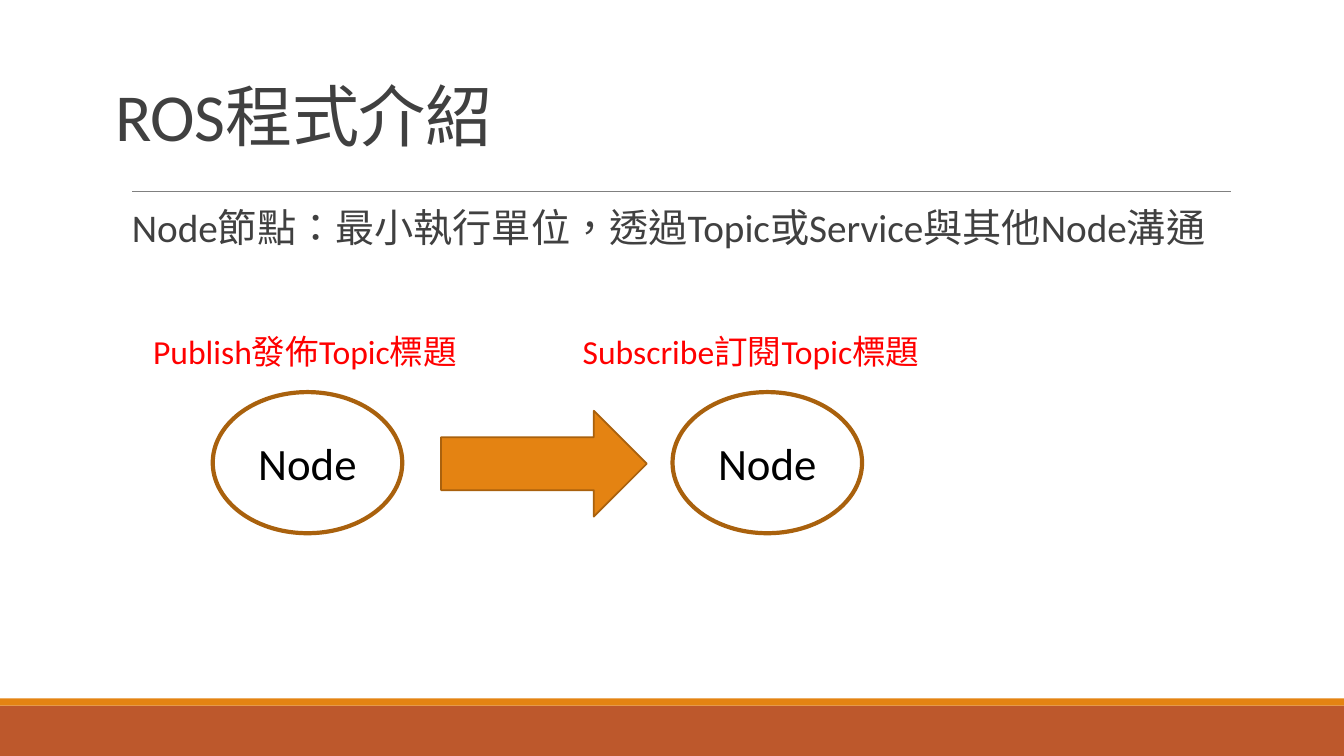
from pptx import Presentation
from pptx.dml.color import RGBColor
from pptx.enum.shapes import MSO_CONNECTOR as LINK, MSO_SHAPE as SHAPE
from pptx.enum.text import MSO_ANCHOR as ANCHOR, PP_ALIGN as ALIGN
from pptx.util import Inches, Pt
from lxml.etree import SubElement
from pptx.oxml.ns import qn

COLORS = {
    "orange": "E48312",
    "rust": "BD582C",
    "brown": "A9610D",
    "gray": "808080",
    "dark": "404040",
    "black": "000000",
    "red": "FF0000",
}


def color(name):
    return RGBColor.from_string(COLORS[name])


def style(para, size, tint, track=0):
    for run in para.runs:
        run.font.name = "Calibri"
        run.font.size = Pt(size)
        run.font.color.rgb = color(tint)
        props = run._r.get_or_add_rPr()
        props.set("lang", "zh-TW")
        if track:
            props.set("spc", str(track))


def add_text(slide, box, text, size, tint, anchor=ANCHOR.TOP, track=0):
    frame = slide.shapes.add_textbox(*map(Inches, box)).text_frame
    frame.word_wrap = True
    frame.vertical_anchor = anchor
    frame.text = text
    para = frame.paragraphs[0]
    style(para, size, tint, track)
    return para


def add_block(slide, kind, box, fill=None, line=None, width=1.0):
    shape = slide.shapes.add_shape(kind, *map(Inches, box))
    shape.shadow.inherit = False
    if fill:
        shape.fill.solid()
        shape.fill.fore_color.rgb = color(fill)
    else:
        shape.fill.background()
    if line:
        shape.line.color.rgb = color(line)
        shape.line.width = Pt(width)
    else:
        shape.line.fill.background()
    return shape


def add_rule(slide, left, right, top):
    rule = slide.shapes.add_connector(
        LINK.STRAIGHT, Inches(left), Inches(top), Inches(right), Inches(top))
    rule.line.color.rgb = color("gray")
    rule.line.width = Pt(0.5)
    SubElement(rule._element.spPr, qn("a:effectLst"))


def add_node(slide, left):
    node = add_block(slide, SHAPE.OVAL, (left, 3.89, 1.88, 1.4),
                     line="brown", width=3)
    frame = node.text_frame
    frame.vertical_anchor = ANCHOR.MIDDLE
    frame.text = "Node"
    para = frame.paragraphs[0]
    para.alignment = ALIGN.CENTER
    style(para, 32, "black")


def main():
    deck = Presentation()
    deck.slide_width, deck.slide_height = Inches(13.33), Inches(7.5)
    slide = deck.slides.add_slide(deck.slide_layouts[6])

    # Footer bands and title rule
    add_block(slide, SHAPE.RECTANGLE, (0, 7, 13.33, 0.5), fill="rust")
    add_block(slide, SHAPE.RECTANGLE, (0, 6.93, 13.33, 0.07), fill="orange")
    add_rule(slide, 1.31, 12.21, 1.9)

    # Title and definition
    title = add_text(slide, (1.05, 0, 11, 1.59), "ROS程式介紹", 48, "dark",
                     ANCHOR.BOTTOM, track=-50)
    title.line_spacing = 0.85
    body = add_text(slide, (1.21, 2.02, 11.09, 1.1),
                    "Node節點：最小執行單位，透過Topic或Service與其他Node溝通",
                    28, "dark")
    body.line_spacing = 0.9

    # Nodes joined by an arrow
    for left in (2.11, 6.67):
        add_node(slide, left)
    arrow = add_block(slide, SHAPE.DOWN_ARROW, (4.87, 3.58, 1.05, 2.04),
                      fill="orange", line="brown", width=1.25)
    arrow.rotation = 270

    # Node roles
    add_text(slide, (1.42, 3.23, 3.27, 0.5), "Publish發佈Topic標題", 24, "red")
    add_text(slide, (5.68, 3.23, 3.85, 0.5), "Subscribe訂閱Topic標題", 24, "red")

    deck.save("out.pptx")


if __name__ == "__main__":
    main()
